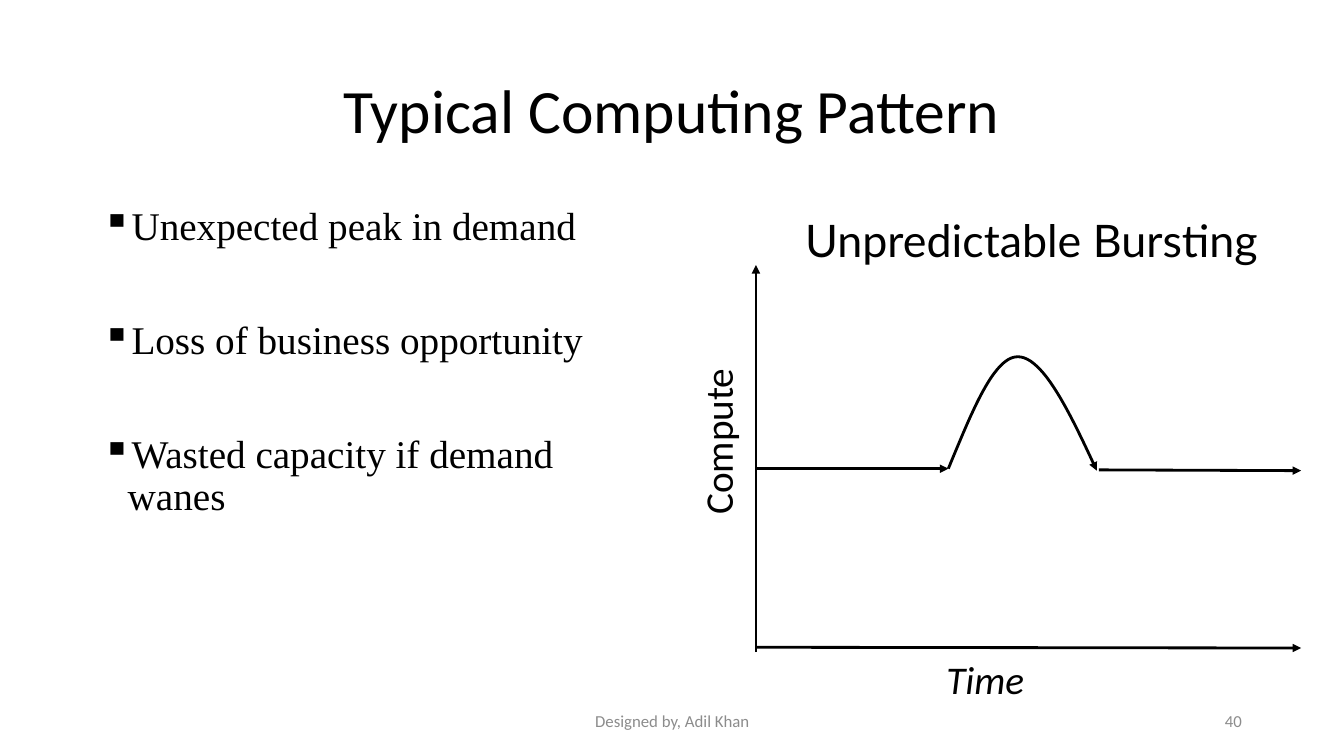
from dataclasses import dataclass

import pptx
import pptx.dml.color
import pptx.enum.dml
import pptx.enum.shapes
import pptx.enum.text
import pptx.oxml
import pptx.oxml.ns
import pptx.util
from lxml import etree

Cm = pptx.util.Cm
Pt = pptx.util.Pt
Align = pptx.enum.text.PP_ALIGN
Anchor = pptx.enum.text.MSO_ANCHOR
Point = tuple[float, float]

BLACK = "000000"
GREY = "8C8C8C"
BULLET_INDENT = 0.64
AXIS_X = 19.05
RIGHT_END = 32.79
LEVEL_Y = 11.81
BURST_START = (23.9, LEVEL_Y)
BURST_PEAK = (25.65, 8.99)
BURST_END = (27.64, 11.86)
CURVE_STEPS = 24


@dataclass(frozen=True)
class Label:
    lines: tuple[str, ...]
    left: float
    top: float
    width: float
    height: float
    size: float
    font: str = "Calibri"
    color: str = BLACK
    align: Align = Align.LEFT
    anchor: Anchor = Anchor.TOP
    margins: Point = (0.25, 0.13)
    spacing: float | pptx.util.Length = 1.0
    before: float = 0
    after: float = 0
    italic: bool = False
    bullet: str = ""
    rotation: float = 0


@dataclass(frozen=True)
class Arrow:
    start: Point
    end: Point


LABELS = (
    Label(("Typical Computing Pattern",), 2.33, 1.02, 29.21, 3.68, 44,
          align=Align.CENTER, anchor=Anchor.MIDDLE, spacing=0.9),
    Label(("Unexpected peak in demand", "Loss of business opportunity",
           "Wasted capacity if demand wanes"), 2.33, 5.08, 14.4, 12.09, 28,
          font="Times New Roman", spacing=0.9, before=10, after=41, bullet="▪"),
    Label(("Time",), 23.85, 16.51, 4.98, 1.47, 28, margins=(0, 0), italic=True),
    Label(("Compute",), 12.9, 10.8, 11.18, 0.66, 28,
          align=Align.CENTER, spacing=Pt(10.7), rotation=270),
    Label(("Unpredictable Bursting",), 20.29, 5.38, 12.12, 1.5, 32,
          font="Lato", margins=(0, 0.13), spacing=0.9),
    Label(("Designed by, Adil Khan",), 11.23, 17.65, 11.43, 1.02, 12,
          color=GREY, align=Align.CENTER, anchor=Anchor.MIDDLE),
    Label(("40",), 23.93, 17.65, 7.62, 1.02, 12,
          color=GREY, align=Align.RIGHT, anchor=Anchor.MIDDLE),
)

ARROWS = (
    Arrow((AXIS_X, 16.43), (AXIS_X, 6.68)),
    Arrow((AXIS_X, 16.31), (RIGHT_END, 16.33)),
    Arrow((AXIS_X, LEVEL_Y), BURST_START),
    Arrow((27.69, 11.84), (RIGHT_END, 11.86)),
)

BURST_CURVES = (
    (BURST_START, (24.49, 10.39), (25.04, 8.99), BURST_PEAK),
    (BURST_PEAK, (26.29, 8.99), (26.97, 10.41), BURST_END),
)


def rgb(color: str) -> pptx.dml.color.RGBColor:
    return pptx.dml.color.RGBColor.from_string(color)


def add_bullet(para, character: str) -> None:
    properties = para._p.get_or_add_pPr()
    properties.set("marL", str(Cm(BULLET_INDENT)))
    properties.set("indent", str(-Cm(BULLET_INDENT)))
    etree.SubElement(properties, pptx.oxml.ns.qn("a:buChar"), char=character)


def add_label(page, label: Label) -> None:
    box = page.shapes.add_textbox(
        Cm(label.left), Cm(label.top), Cm(label.width), Cm(label.height))
    box.rotation = label.rotation
    frame = box.text_frame
    frame.word_wrap = True
    frame.vertical_anchor = label.anchor
    frame.margin_left = frame.margin_right = Cm(label.margins[0])
    frame.margin_top = frame.margin_bottom = Cm(label.margins[1])
    frame.text = "\n".join(label.lines)
    for para in frame.paragraphs:
        para.alignment = label.align
        para.line_spacing = label.spacing
        para.space_before = Pt(label.before)
        para.space_after = Pt(label.after)
        if label.bullet:
            add_bullet(para, label.bullet)
        para.font.name = label.font
        para.font.size = Pt(label.size)
        para.font.italic = label.italic
        para.font.color.rgb = rgb(label.color)


def style_arrow(shape) -> None:
    shape.line.color.rgb = rgb(BLACK)
    shape.line.width = Pt(2)
    outline = shape.line._get_or_add_ln()
    etree.SubElement(outline, pptx.oxml.ns.qn("a:tailEnd"), type="triangle")


def add_arrow(page, arrow: Arrow) -> None:
    connector = page.shapes.add_connector(
        pptx.enum.shapes.MSO_CONNECTOR.STRAIGHT,
        *(Cm(value) for value in arrow.start + arrow.end))
    style_arrow(connector)
    etree.SubElement(connector._element.spPr, pptx.oxml.ns.qn("a:effectLst"))


def curve_point(controls: tuple[Point, ...], t: float) -> Point:
    u = 1 - t
    weights = (u**3, 3 * u**2 * t, 3 * u * t**2, t**3)
    x, y = (sum(w * c[axis] for w, c in zip(weights, controls)) for axis in (0, 1))
    return Cm(x), Cm(y)


def add_burst(page) -> None:
    points = [curve_point(controls, step / CURVE_STEPS)
              for controls in BURST_CURVES for step in range(1, CURVE_STEPS + 1)]
    builder = page.shapes.build_freeform(*(Cm(value) for value in BURST_START))
    builder.add_line_segments(points, close=False)
    burst = builder.convert_to_shape()
    burst.shadow.inherit = False
    burst.fill.background()
    style_arrow(burst)


def main() -> None:
    deck = pptx.Presentation()
    deck.slide_width = Cm(33.87)
    deck.slide_height = Cm(19.05)
    page = deck.slides.add_slide(deck.slide_layouts[6])
    for label in LABELS:
        add_label(page, label)
    for arrow in ARROWS:
        add_arrow(page, arrow)
    add_burst(page)
    deck.save("out.pptx")


if __name__ == "__main__":
    main()
